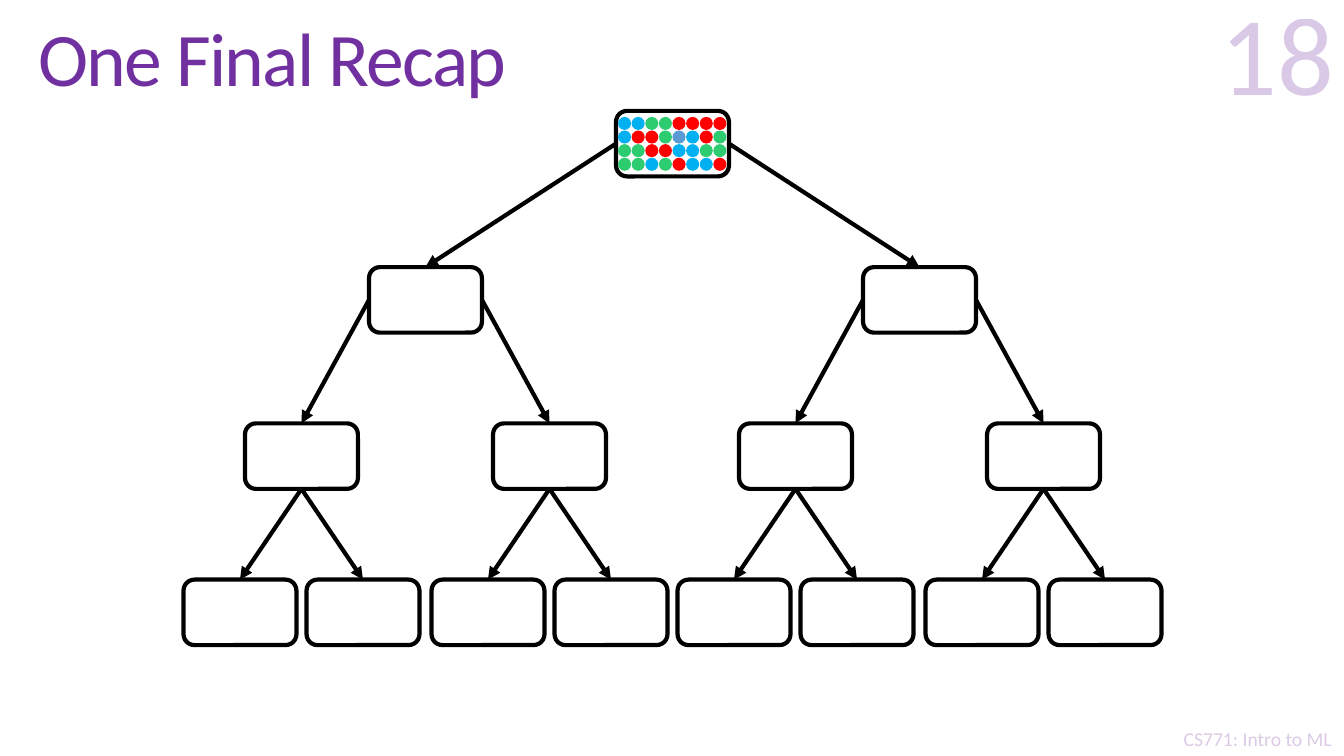
from dataclasses import dataclass

from lxml import etree
from pptx import Presentation
from pptx.dml.color import RGBColor
from pptx.enum.shapes import MSO_CONNECTOR, MSO_SHAPE
from pptx.enum.text import MSO_ANCHOR, MSO_AUTO_SIZE, PP_ALIGN
from pptx.oxml.ns import qn
from pptx.util import Emu, Pt

STRAIGHT = MSO_CONNECTOR.STRAIGHT
ROUNDED, RECTANGLE, OVAL = MSO_SHAPE.ROUNDED_RECTANGLE, MSO_SHAPE.RECTANGLE, MSO_SHAPE.OVAL
TOP, MIDDLE, BOTTOM = MSO_ANCHOR.TOP, MSO_ANCHOR.MIDDLE, MSO_ANCHOR.BOTTOM
LEFT, CENTER, RIGHT = PP_ALIGN.LEFT, PP_ALIGN.CENTER, PP_ALIGN.RIGHT
NO_AUTOFIT = MSO_AUTO_SIZE.NONE

EMU_PER_PX = 9144
SLIDE_SIZE = (1333, 750)
NODE_WIDTH, NODE_HEIGHT = 112, 65
ROOT_CENTER, ROOT_TOP, LEVEL_STEP = 667, 110, 155
CHILD_OFFSETS = (245, 123, 61)
SITE_TOP, SITE_LEFT, SITE_BOTTOM, SITE_RIGHT = range(4)
EXIT_SITES = ((SITE_LEFT, SITE_RIGHT), (SITE_LEFT, SITE_RIGHT), (SITE_BOTTOM, SITE_BOTTOM))
DOT_LEFT, DOT_TOP, DOT_SIZE, DOTS_WIDTH = 613, 116, 13, 108
DOT_ROWS = ("BBGGRRRR", "BRRGSBRG", "GGRRBBGG", "GGBGRBBR")


@dataclass(frozen=True)
class Theme:
    """Colours, font and type sizes of the slide."""

    font: str = "Calibri"
    purple: str = "7030A0"
    white: str = "FFFFFF"
    black: str = "000000"
    blue: str = "00B0F0"
    green: str = "2ECC71"
    red: str = "FF0000"
    steel: str = "5B9BD5"
    title_size: int = 54
    number_size: int = 80
    footer_size: int = 14
    line_width: int = 3


THEME = Theme()
DOT_COLORS = {"B": THEME.blue, "G": THEME.green, "R": THEME.red, "S": THEME.steel}


def px(*lengths):
    """Turn px lengths into EMU."""
    return [Emu(round(length * EMU_PER_PX)) for length in lengths]


def set_opacity(element, percent):
    """Make the first colour inside an element partly transparent."""
    color = element.find(".//" + qn("a:srgbClr"))
    etree.SubElement(color, qn("a:alpha")).set("val", str(percent * 1000))


def write_text(shape, text, *, size, align=LEFT, anchor=TOP, wrap=True,
               opacity=None, line_spacing=None, tracking=None):
    """Write one formatted paragraph into a shape."""
    frame = shape.text_frame
    frame.auto_size = NO_AUTOFIT
    frame.word_wrap = wrap
    frame.vertical_anchor = anchor
    paragraph = frame.paragraphs[0]
    paragraph.alignment = align
    if line_spacing:
        paragraph.line_spacing = line_spacing
    run = paragraph.add_run()
    run.text = text
    run.font.name = THEME.font
    run.font.size = Pt(size)
    run.font.color.rgb = RGBColor.from_string(THEME.purple)
    properties = run._r.get_or_add_rPr()
    if opacity:
        set_opacity(properties, opacity)
    if tracking:
        properties.set("spc", str(tracking))


def add_figure(shapes, kind, box, *, fill=None, line=None):
    """Add a preset shape with an optional fill and outline."""
    figure = shapes.add_shape(kind, *px(*box))
    figure.shadow.inherit = False
    if fill:
        figure.fill.solid()
        figure.fill.fore_color.rgb = RGBColor.from_string(fill)
    else:
        figure.fill.background()
    if line:
        figure.line.color.rgb = RGBColor.from_string(line)
        figure.line.width = Pt(THEME.line_width)
    else:
        figure.line.fill.background()
    return figure


def add_arrow(shapes, parent, exit_site, child):
    """Link a parent node to the top of its child with an arrow."""
    arrow = shapes.add_connector(STRAIGHT, *px(0, 0, 0, 0))
    arrow.begin_connect(parent, exit_site)
    arrow.end_connect(child, SITE_TOP)
    arrow.line.color.rgb = RGBColor.from_string(THEME.black)
    arrow.line.width = Pt(THEME.line_width)
    etree.SubElement(arrow.line._get_or_add_ln(), qn("a:tailEnd")).set("type", "triangle")
    etree.SubElement(arrow._element.spPr, qn("a:effectLst"))


def add_tree(shapes, center=ROOT_CENTER, level=0):
    """Draw a node with its subtree and return the node."""
    is_leaf = level == len(CHILD_OFFSETS)
    box = (center - NODE_WIDTH / 2, ROOT_TOP + level * LEVEL_STEP, NODE_WIDTH, NODE_HEIGHT)
    node = add_figure(shapes, ROUNDED, box, fill=THEME.white if is_leaf else None,
                      line=THEME.black)
    if not is_leaf:
        for side, exit_site in zip((-1, 1), EXIT_SITES[level]):
            child = add_tree(shapes, center + side * CHILD_OFFSETS[level], level + 1)
            add_arrow(shapes, node, exit_site, child)
    return node


def add_data_points(shapes):
    """Fill the root node with a grid of coloured dots."""
    points = shapes.add_group_shape().shapes
    pitch = DOTS_WIDTH / len(DOT_ROWS[0])
    for row, codes in enumerate(DOT_ROWS):
        for column, code in enumerate(codes):
            box = (DOT_LEFT + column * pitch, DOT_TOP + row * pitch, DOT_SIZE, DOT_SIZE)
            add_figure(points, OVAL, box, fill=DOT_COLORS[code])


def add_footer(shapes):
    """Add the course name under a translucent white veil."""
    course = shapes.add_textbox(*px(1162, 716, 171, 34))
    write_text(course, "CS771: Intro to ML", size=THEME.footer_size, align=CENTER, wrap=False)
    veil = add_figure(shapes, RECTANGLE, (1164, 568, 169, 182), fill=THEME.white)
    set_opacity(veil._element.spPr, 75)


def add_heading(shapes):
    """Place the title and the slide number."""
    title = shapes.title
    title.left, title.top, title.width, title.height = px(28, 4, 1269, 118)
    write_text(title, "One Final Recap", size=THEME.title_size, anchor=MIDDLE,
               line_spacing=0.85, tracking=-120)
    number = shapes.add_textbox(*px(1013, 5, 320, 117))
    write_text(number, "18", size=THEME.number_size, align=RIGHT, anchor=BOTTOM, opacity=25)


def main():
    """Build the slide and save it."""
    presentation = Presentation()
    presentation.slide_width, presentation.slide_height = px(*SLIDE_SIZE)
    shapes = presentation.slides.add_slide(presentation.slide_layouts[5]).shapes
    add_footer(shapes)
    add_heading(shapes)
    add_tree(shapes)
    add_data_points(shapes)
    presentation.save("out.pptx")


if __name__ == "__main__":
    main()
